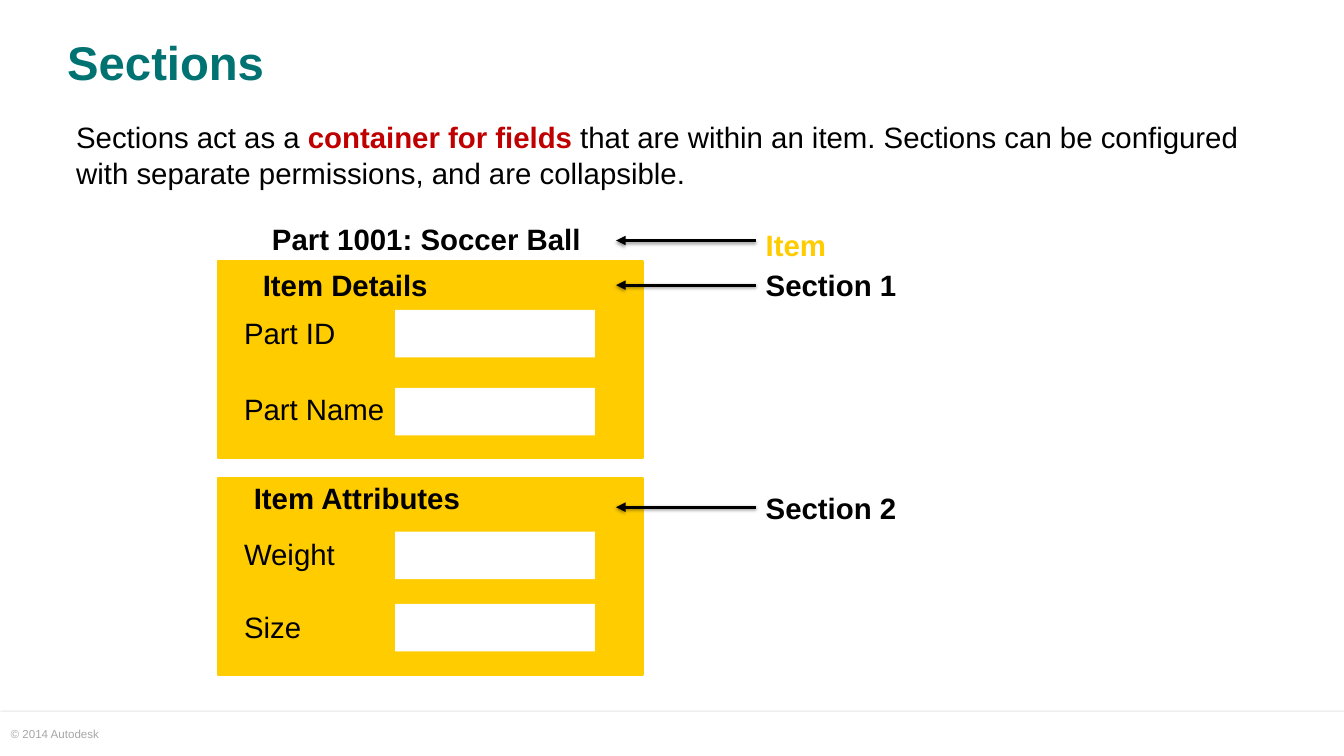
from dataclasses import dataclass

from lxml.etree import SubElement
from pptx import Presentation
from pptx.dml.color import RGBColor
from pptx.enum.shapes import MSO_CONNECTOR as Connector, MSO_SHAPE as Shape
from pptx.enum.text import MSO_ANCHOR as Anchor
from pptx.oxml.ns import qn
from pptx.util import Cm, Pt


@dataclass(frozen=True)
class Theme:
    font: str = "Arial"
    title_size: int = 45
    body_size: int = 28
    footer_size: int = 11
    teal: str = "007272"
    yellow: str = "FFCC00"
    red: str = "C00000"
    black: str = "000000"
    white: str = "FFFFFF"
    grey: str = "A6A6A6"


class SlideBuilder:
    def __init__(self, slide, theme):
        self.slide = slide
        self.theme = theme

    def text(self, left, top, width, height, runs, size=None, indent=0.3,
             line_spacing=1.04, anchor=Anchor.TOP):
        """Add a text box; runs are (text, colour, bold) triples."""
        box = self.slide.shapes.add_textbox(Cm(left), Cm(top), Cm(width), Cm(height))
        frame = box.text_frame
        frame.word_wrap = True
        frame.vertical_anchor = anchor
        frame.margin_left = frame.margin_right = 0
        frame.margin_top = frame.margin_bottom = 0
        paragraph = frame.paragraphs[0]
        paragraph.line_spacing = line_spacing
        if indent:
            paragraph._p.get_or_add_pPr().set("marL", str(Cm(indent)))
        for words, colour, bold in runs:
            run = paragraph.add_run()
            run.text = words
            run.font.name = self.theme.font
            run.font.size = Pt(size or self.theme.body_size)
            run.font.bold = bold
            run.font.color.rgb = RGBColor.from_string(colour)

    def heading(self, left, top, words):
        self.text(left, top, 11.89, 1.35, [(words, self.theme.black, True)])

    def rectangle(self, left, top, width, height, fill, outline=None):
        shape = self.slide.shapes.add_shape(
            Shape.RECTANGLE, Cm(left), Cm(top), Cm(width), Cm(height))
        shape.fill.solid()
        shape.fill.fore_color.rgb = RGBColor.from_string(fill)
        if outline:
            shape.line.color.rgb = RGBColor.from_string(outline)
            shape.line.width = Pt(2)
        else:
            shape.line.fill.background()
        shape.shadow.inherit = False
        return shape

    def drop_shadow(self, effects, distance, opacity):
        shadow = SubElement(effects, qn("a:outerShdw"), blurRad=str(Pt(3.1)),
                            dist=str(Pt(distance)), dir="5400000", rotWithShape="0")
        colour = SubElement(shadow, qn("a:srgbClr"), val=self.theme.black)
        SubElement(colour, qn("a:alpha"), val=str(opacity * 1000))

    def footer(self):
        band = self.rectangle(0, 23.93, 45.16, 1.47, self.theme.white)
        self.drop_shadow(band._element.spPr.find(qn("a:effectLst")), 1.8, 35)
        self.text(0.36, 24.43, 3.61, 0.48, [("© 2014 Autodesk", self.theme.grey, False)],
                  size=self.theme.footer_size, indent=0, line_spacing=1)

    def section(self, top, heading_left, heading_top, name, fields):
        """Add a panel with its heading and (label, label top, field top) rows."""
        self.rectangle(7.32, top, 14.27, 6.63, self.theme.yellow, self.theme.yellow)
        self.heading(heading_left, heading_top, name)
        for label, label_top, field_top in fields:
            self.rectangle(13.28, field_top, 6.71, 1.6, self.theme.white)
            self.text(7.9, label_top, 6.17, 1.3, [(label, self.theme.black, False)])

    def callout(self, words, text_top, arrow_y, colour):
        self.text(25.43, text_top, 6.17, 1.3, [(words, colour, True)])
        arrow = self.slide.shapes.add_connector(
            Connector.STRAIGHT, Cm(25.4), Cm(arrow_y), Cm(20.7), Cm(arrow_y))
        arrow.line.color.rgb = RGBColor.from_string(self.theme.black)
        arrow.line.width = Pt(3)
        SubElement(arrow.line._get_or_add_ln(), qn("a:tailEnd"), type="triangle")
        effects = SubElement(arrow._element.spPr, qn("a:effectLst"))
        self.drop_shadow(effects, 1.6, 38)


def main():
    presentation = Presentation()
    presentation.slide_width, presentation.slide_height = Cm(45.16), Cm(25.4)
    theme = Theme()
    slide = presentation.slides.add_slide(presentation.slide_layouts[6])
    builder = SlideBuilder(slide, theme)

    builder.footer()
    builder.text(2.26, 1.02, 40.64, 2.36, [("Sections", theme.teal, True)],
                 size=theme.title_size, indent=0, line_spacing=0.9, anchor=Anchor.MIDDLE)
    builder.text(2.26, 3.94, 40.64, 2.87, [
        ("Sections act as a ", theme.black, False),
        ("container for fields ", theme.red, True),
        ("that are within an item. Sections can be configured with separate "
         "permissions, and are collapsible.", theme.black, False),
    ])

    builder.heading(8.84, 7.37, "Part 1001: Soccer Ball")
    builder.section(8.76, 8.53, 8.92, "Item Details", [
        ("Part ID", 10.54, 10.41), ("Part Name", 13.11, 13.03)])
    builder.section(16.05, 8.23, 16.08, "Item Attributes", [
        ("Weight", 17.98, 17.86), ("Size", 20.42, 20.29)])

    for words, text_top, arrow_y, colour in [
        ("Item", 7.57, 8.08, theme.yellow),
        ("Section 1", 8.92, 9.58, theme.black),
        ("Section 2", 16.41, 17.04, theme.black),
    ]:
        builder.callout(words, text_top, arrow_y, colour)

    presentation.save("out.pptx")


if __name__ == "__main__":
    main()
